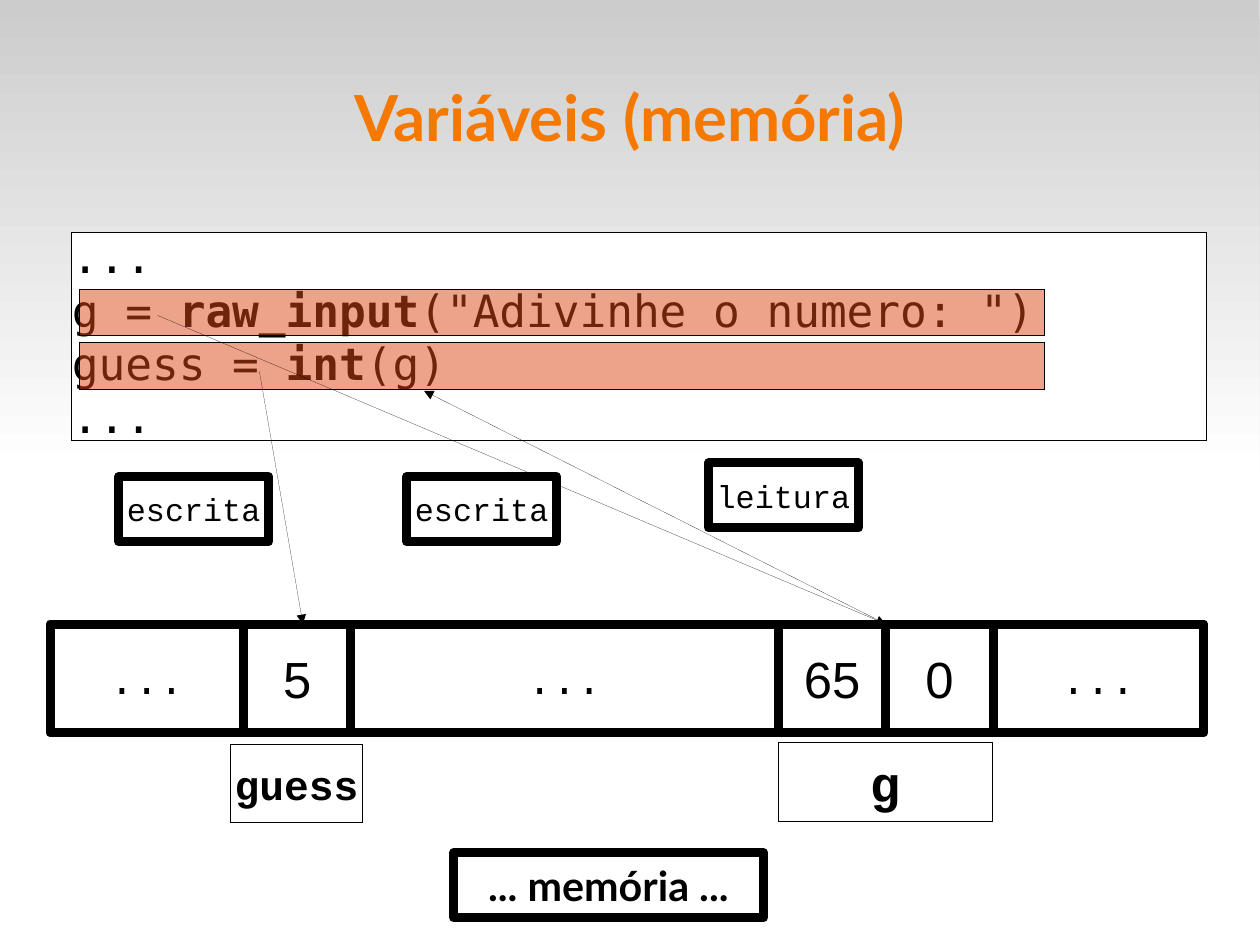
from dataclasses import dataclass

from lxml.etree import SubElement
from pptx import Presentation
from pptx.dml.color import RGBColor
from pptx.enum.shapes import MSO_CONNECTOR, MSO_SHAPE
from pptx.enum.text import MSO_ANCHOR, MSO_AUTO_SIZE, PP_ALIGN
from pptx.oxml.ns import qn
from pptx.shapes.autoshape import Shape
from pptx.shapes.connector import Connector
from pptx.slide import Slide
from pptx.text.text import TextFrame, _Paragraph as Paragraph
from pptx.util import Cm, Inches, Pt

COLORS = {
    "black": "000000",
    "white": "FFFFFF",
    "gray": "CCCCCC",
    "title": "F57900",
    "highlight": "DD4814",
}
ARIAL, COURIER, CODE_FONT, LATO = "Arial", "Courier New", "DejaVu Sans Mono", "Lato"
HAIRLINE, THICK = 0, 5.67
MEMORY_LEFT, MEMORY_TOP, MEMORY_WIDTH, MEMORY_HEIGHT = 0.44, 5.46, 10.09, 0.95


@dataclass(frozen=True)
class Box:
    left: float
    top: float
    width: float
    height: float
    text: str = ""
    size: float = 26
    font: str = COURIER
    bold: bool = False
    line: float = THICK


@dataclass(frozen=True)
class Cell:
    text: str
    width: float
    size: float = 26
    font: str = COURIER


@dataclass(frozen=True)
class Arrow:
    start: tuple[float, float]
    end: tuple[float, float]


CODE_LINES = [
    [("...", False)],
    [("g = ", False), ("raw_input", True), ('("Adivinhe o numero: ")', False)],
    [("guess = ", False), ("int", True), ("(g)", False)],
    [("...", False)],
]
CELLS = [
    Cell("...", 1.69),
    Cell("5", 0.94, 32, ARIAL),
    Cell("...", 3.74),
    Cell("65", 0.94, 32, ARIAL),
    Cell("0", 0.94, 32, ARIAL),
    Cell("...", 1.84),
]
VARIABLE_NAMES = [
    Box(2.02, 6.51, 1.15, 0.69, "guess", bold=True, line=HAIRLINE),
    Box(6.81, 6.5, 1.87, 0.69, "g", 32, bold=True, line=HAIRLINE),
]
ARROWS = [
    Arrow((1.38, 2.76), (7.75, MEMORY_TOP)),
    Arrow((2.27, 3.25), (2.65, MEMORY_TOP)),
    Arrow((7.75, MEMORY_TOP), (3.71, 3.42)),
]
LABELS = [
    Box(3.97, 7.46, 2.71, 0.57, "... memória ...", font=LATO, bold=True),
    Box(1.04, 4.17, 1.31, 0.57, "escrita", 20),
    Box(3.56, 4.17, 1.31, 0.57, "escrita", 20),
    Box(6.2, 4.05, 1.31, 0.57, "leitura", 20),
]


def rgb(name: str) -> RGBColor:
    return RGBColor.from_string(COLORS[name])


def set_line(shape: Shape | Connector, width: float) -> None:
    """Draw a black line, writing the width even when it is zero."""
    shape.line.color.rgb = rgb("black")
    shape.element.spPr.find(qn("a:ln")).set("w", str(Pt(width)))


def add_run(paragraph: Paragraph, text: str, size: float, font: str, bold: bool,
            color: str = "black") -> None:
    run = paragraph.add_run()
    run.text = text
    run.font.size = Pt(size)
    run.font.name = font
    run.font.bold = bold
    run.font.color.rgb = rgb(color)


def set_frame(frame: TextFrame, horizontal: float, vertical: float, wrap: bool) -> None:
    frame.auto_size = MSO_AUTO_SIZE.NONE
    frame.word_wrap = wrap
    frame.vertical_anchor = MSO_ANCHOR.MIDDLE
    frame.margin_left = frame.margin_right = Inches(horizontal)
    frame.margin_top = frame.margin_bottom = Inches(vertical)


def add_box(slide: Slide, box: Box, fill: str = "white") -> Shape:
    shape = slide.shapes.add_shape(
        MSO_SHAPE.RECTANGLE, Inches(box.left), Inches(box.top),
        Inches(box.width), Inches(box.height))
    shape.shadow.inherit = False
    shape.fill.solid()
    shape.fill.fore_color.rgb = rgb(fill)
    set_line(shape, box.line)
    if box.text:
        margins = (0.14, 0.09) if box.line else (0.1, 0.05)
        set_frame(shape.text_frame, *margins, wrap=False)
        paragraph = shape.text_frame.paragraphs[0]
        paragraph.alignment = PP_ALIGN.CENTER
        add_run(paragraph, box.text, box.size, box.font, box.bold)
    return shape


def add_backdrop(slide: Slide) -> None:
    """Shade the top half of the slide, behind everything else."""
    backdrop = add_box(slide, Box(0, 0, 11.02, 4.13))
    backdrop.line.fill.background()
    backdrop.fill.gradient()
    backdrop.fill.gradient_angle = 270
    for stop, color, position in zip(backdrop.fill.gradient_stops, ("gray", "white"), (0, 1)):
        stop.color.rgb = rgb(color)
        stop.position = position
    slide.shapes.title.element.addprevious(backdrop.element)


def add_title(slide: Slide) -> None:
    title = slide.shapes.title
    title.left, title.top = Inches(0.55), Inches(0.33)
    title.width, title.height = Inches(9.92), Inches(1.38)
    set_frame(title.text_frame, 0, 0, wrap=True)
    paragraph = title.text_frame.paragraphs[0]
    paragraph.alignment = PP_ALIGN.CENTER
    add_run(paragraph, "Variáveis (memória)", 40, LATO, True, "title")


def add_code(slide: Slide) -> None:
    frame = add_box(slide, Box(0.63, 2.03, 9.93, 1.82, line=HAIRLINE)).text_frame
    set_frame(frame, 0, 0, wrap=True)
    for index, line in enumerate(CODE_LINES):
        paragraph = frame.add_paragraph() if index else frame.paragraphs[0]
        paragraph.alignment = PP_ALIGN.LEFT
        for text, bold in line:
            add_run(paragraph, text, 28, CODE_FONT, bold)
    for top in (2.53, 3.0):
        band = add_box(slide, Box(0.7, top, 8.44, 0.41, line=HAIRLINE), "highlight")
        fill_color = band.element.spPr.find(qn("a:solidFill")).find(qn("a:srgbClr"))
        SubElement(fill_color, qn("a:alpha"), val="50000")


def add_memory(slide: Slide) -> None:
    add_box(slide, Box(MEMORY_LEFT, MEMORY_TOP, MEMORY_WIDTH, MEMORY_HEIGHT))
    left = MEMORY_LEFT
    for cell in CELLS:
        add_box(slide, Box(left, MEMORY_TOP, cell.width, MEMORY_HEIGHT,
                           cell.text, cell.size, cell.font))
        left += cell.width


def add_arrow(slide: Slide, arrow: Arrow) -> None:
    points = [Inches(value) for value in (*arrow.start, *arrow.end)]
    connector = slide.shapes.add_connector(MSO_CONNECTOR.STRAIGHT, *points)
    set_line(connector, HAIRLINE)
    properties = connector.element.spPr
    SubElement(properties.find(qn("a:ln")), qn("a:tailEnd"), type="triangle")
    SubElement(properties, qn("a:effectLst"))


def main() -> None:
    presentation = Presentation()
    presentation.slide_width, presentation.slide_height = Cm(28), Cm(21)
    slide = presentation.slides.add_slide(presentation.slide_layouts[5])
    add_backdrop(slide)
    add_title(slide)
    add_code(slide)
    add_memory(slide)
    for box in VARIABLE_NAMES:
        add_box(slide, box)
    for arrow in ARROWS:
        add_arrow(slide, arrow)
    for box in LABELS:
        add_box(slide, box)
    presentation.save("out.pptx")


if __name__ == "__main__":
    main()
